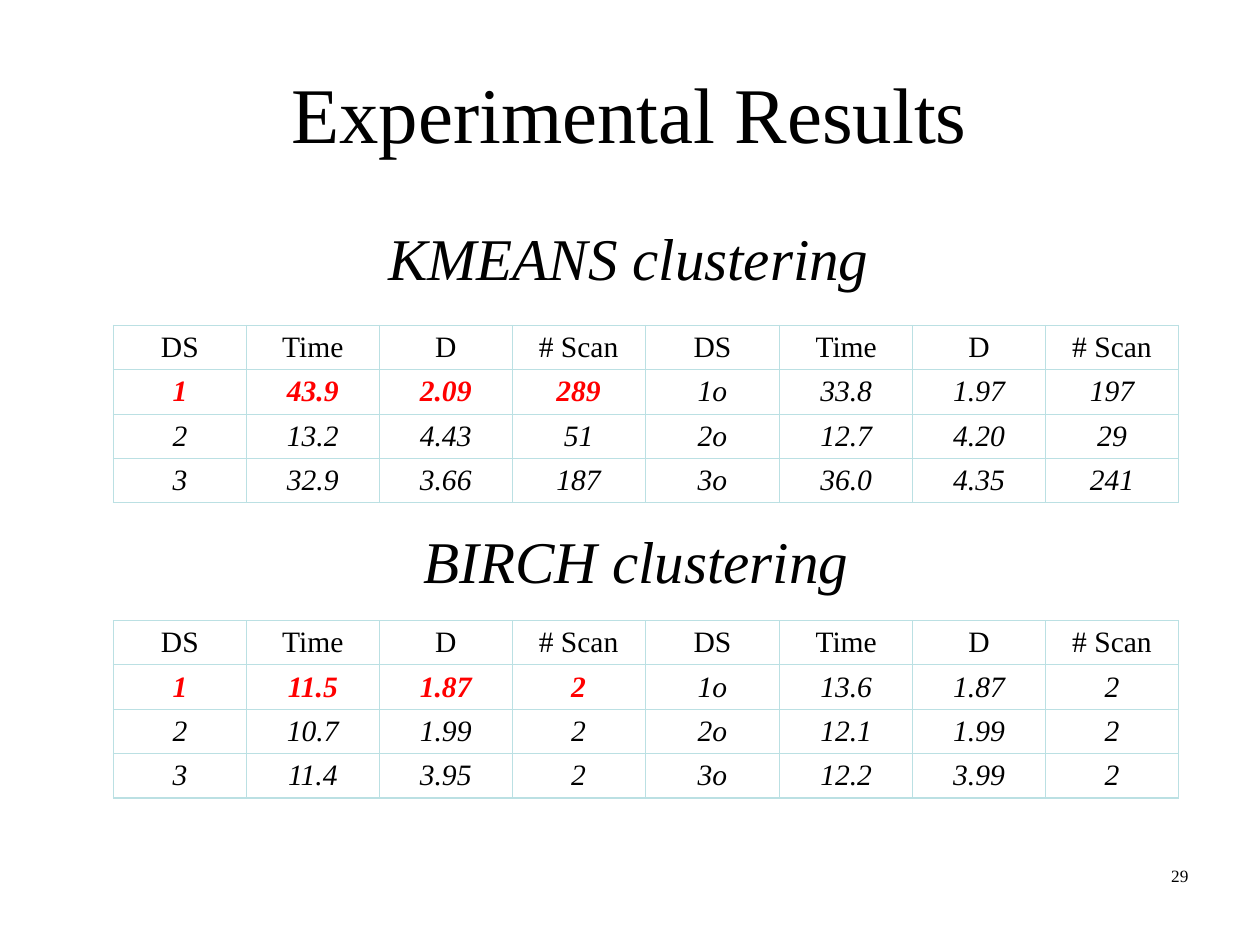
from lxml import etree
from pptx import Presentation
from pptx.dml.color import RGBColor
from pptx.enum.text import MSO_ANCHOR, MSO_AUTO_SIZE, PP_ALIGN
from pptx.oxml.ns import qn
from pptx.util import Pt

CENTER = PP_ALIGN.CENTER
RIGHT = PP_ALIGN.RIGHT
MIDDLE = MSO_ANCHOR.MIDDLE
TOP = MSO_ANCHOR.TOP
GROW = MSO_AUTO_SIZE.SHAPE_TO_FIT_TEXT
NO_FIT = MSO_AUTO_SIZE.NONE

FONT = "Times New Roman"
BLACK = "000000"
RED = "FF0000"
BORDER = "BBE0E3"
BORDER_WIDTH = 0.96
TITLE_ONLY = 5
ROW_HEIGHT = 36
COLUMN_WIDTHS = [108] * 4 + [109.44] + [108] * 3
HIGHLIGHTED_COLUMNS = 4
HEADER = ["DS", "Time", "D", "# Scan"] * 2

KMEANS_RESULTS = [
    ["1", "43.9", "2.09", "289", "1o", "33.8", "1.97", "197"],
    ["2", "13.2", "4.43", "51", "2o", "12.7", "4.20", "29"],
    ["3", "32.9", "3.66", "187", "3o", "36.0", "4.35", "241"],
]
BIRCH_RESULTS = [
    ["1", "11.5", "1.87", "2", "1o", "13.6", "1.87", "2"],
    ["2", "10.7", "1.99", "2", "2o", "12.1", "1.99", "2"],
    ["3", "11.4", "3.95", "2", "3o", "12.2", "3.99", "2"],
]


def color(hex_code):
    return RGBColor.from_string(hex_code)


def write(frame, words, size, align=CENTER, hex_code=BLACK, bold=False, italic=False):
    frame.text = words
    paragraph = frame.paragraphs[0]
    paragraph.alignment = align
    font = paragraph.runs[0].font
    font.name = FONT
    font.size = Pt(size)
    font.bold = bold
    font.italic = italic
    font.color.rgb = color(hex_code)


def place_title(slide, left, top, width, height):
    title = slide.shapes.title
    title.left, title.top = Pt(left), Pt(top)
    title.width, title.height = Pt(width), Pt(height)
    frame = title.text_frame
    frame.word_wrap = True
    frame.auto_size = NO_FIT
    frame.vertical_anchor = MIDDLE
    write(frame, "Experimental Results", 64)


def add_heading(slide, words, left, top, width, height):
    heading = slide.shapes.add_textbox(Pt(left), Pt(top), Pt(width), Pt(height))
    frame = heading.text_frame
    frame.margin_left = frame.margin_right = Pt(0)
    frame.margin_top = frame.margin_bottom = Pt(0)
    frame.word_wrap = False
    frame.auto_size = GROW
    write(frame, words, 48, italic=True)


def add_page_number(slide, number, left, top, width, height):
    page = slide.shapes.add_textbox(Pt(left), Pt(top), Pt(width), Pt(height))
    frame = page.text_frame
    frame.word_wrap = True
    frame.vertical_anchor = TOP
    write(frame, number, 14, RIGHT)


def outline(cell):
    properties = cell._tc.get_or_add_tcPr()
    for side in ("a:lnL", "a:lnR", "a:lnT", "a:lnB"):
        line = etree.SubElement(properties, qn(side), w=str(Pt(BORDER_WIDTH)))
        fill = etree.SubElement(line, qn("a:solidFill"))
        etree.SubElement(fill, qn("a:srgbClr"), val=BORDER)


def add_results(slide, results, left, top):
    rows = [HEADER] + results
    table = slide.shapes.add_table(
        len(rows), len(HEADER), Pt(left), Pt(top),
        Pt(sum(COLUMN_WIDTHS)), Pt(ROW_HEIGHT * len(rows)),
    ).table
    table.first_row = False
    table.horz_banding = False
    for column, width in zip(table.columns, COLUMN_WIDTHS):
        column.width = Pt(width)
    for r, values in enumerate(rows):
        table.rows[r].height = Pt(ROW_HEIGHT)
        for c, value in enumerate(values):
            cell = table.cell(r, c)
            highlighted = r == 1 and c < HIGHLIGHTED_COLUMNS
            outline(cell)
            cell.fill.background()
            cell.vertical_anchor = MIDDLE
            write(cell.text_frame, value, 24, hex_code=RED if highlighted else BLACK,
                  bold=highlighted, italic=r > 0)


def main():
    deck = Presentation()
    deck.slide_width, deck.slide_height = Pt(1023.84), Pt(767.52)
    slide = deck.slides.add_slide(deck.slide_layouts[TITLE_ONLY])
    place_title(slide, 77.76, 46.08, 866.88, 90)
    add_heading(slide, "KMEANS clustering", 315.36, 180, 390.96, 57.6)
    add_results(slide, KMEANS_RESULTS, 92.16, 264.24)
    add_heading(slide, "BIRCH clustering", 344.16, 426.24, 345.6, 57.6)
    add_results(slide, BIRCH_RESULTS, 92.16, 504)
    add_page_number(slide, "29", 733.68, 699.12, 239.04, 53.28)
    deck.save("out.pptx")


if __name__ == "__main__":
    main()
